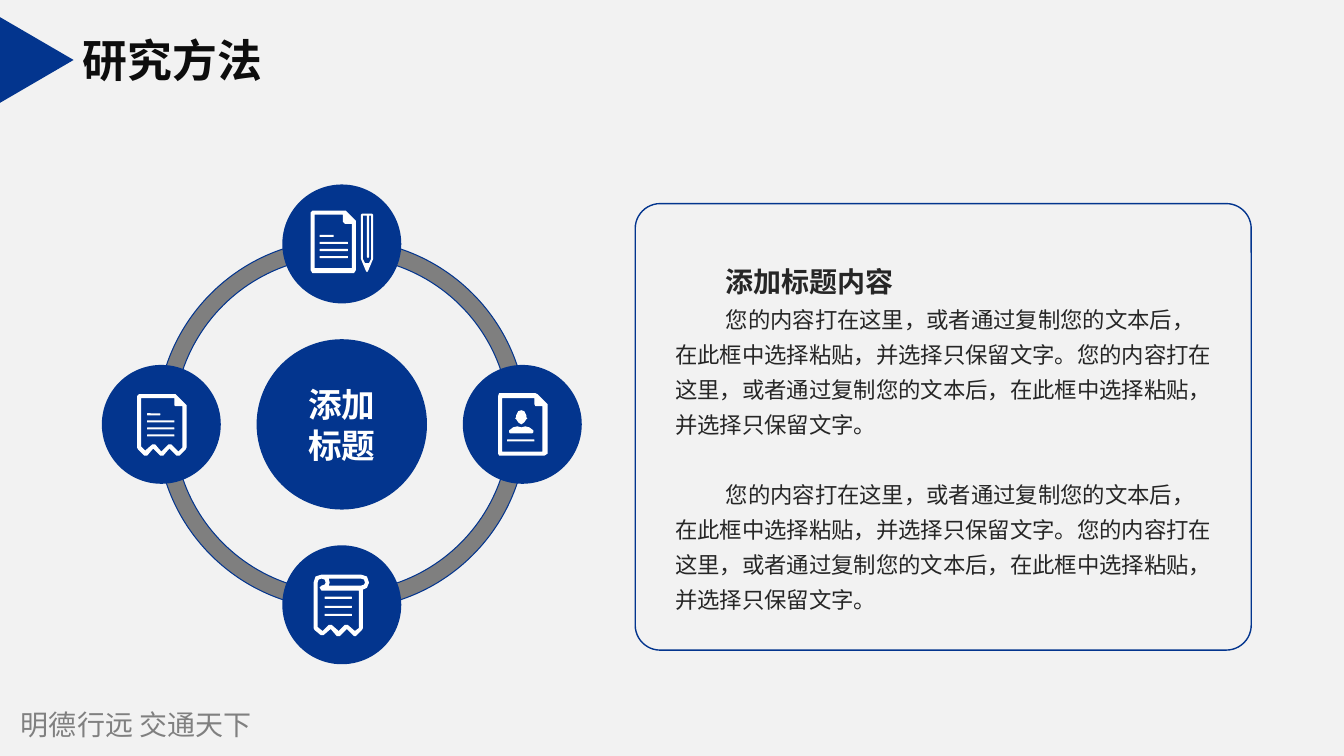
from lxml import etree
from pptx import Presentation
from pptx.dml.color import RGBColor
from pptx.enum.shapes import MSO_SHAPE
from pptx.enum.text import MSO_ANCHOR, PP_ALIGN
from pptx.oxml.ns import qn
from pptx.util import Inches, Pt

OVAL, ARC = MSO_SHAPE.OVAL, MSO_SHAPE.BLOCK_ARC
ROUNDED, TRIANGLE = MSO_SHAPE.ROUNDED_RECTANGLE, MSO_SHAPE.ISOSCELES_TRIANGLE
MIDDLE, TOP = MSO_ANCHOR.MIDDLE, MSO_ANCHOR.TOP
LEFT, CENTER = PP_ALIGN.LEFT, PP_ALIGN.CENTER
BLUE, GRAY, WHITE, BACKGROUND = "03358E", "7F7F7F", "FFFFFF", "F2F2F2"

TITLE = "研究方法"
FOOTER = "明德行远 交通天下"
HUB_LINES = ["添加", "标题"]
PANEL_HEADING = "添加标题内容"
PANEL_BODY = (
    "您的内容打在这里，或者通过复制您的文本后，在此框中选择粘贴，并选择只保留文字。"
    "您的内容打在这里，或者通过复制您的文本后，在此框中选择粘贴，并选择只保留文字。"
)

TITLE_FORMAT = {"name": "Arial", "size": Pt(32), "bold": True, "color": "0D0D0D"}
FOOTER_FORMAT = {"name": "Noto Sans CJK JP", "size": Pt(20), "color": "808080"}
HUB_FORMAT = {"name": "Arial", "size": Pt(24), "bold": True, "color": WHITE}
HEADING_FORMAT = {"name": "Noto Sans CJK SC", "size": Pt(20), "bold": True, "color": "262626"}
BODY_FORMAT = {**HEADING_FORMAT, "size": Pt(16), "bold": False}
HUB_SPACING = {"alignment": CENTER, "line_spacing": Pt(29)}
HEADING_SPACING = {"line_spacing": Pt(49.5)}
BODY_SPACING = {"line_spacing": Pt(25)}
SECOND_BODY_SPACING = {**BODY_SPACING, "space_before": Pt(25)}

# Ring geometry in inches
CENTER_X, CENTER_Y = 3.39, 4.21
ORBIT, RING_SIZE, HUB_SIZE, NODE_SIZE = 1.79, 3.67, 1.69, 1.18
QUARTER, FULL_TURN, RING_THICKNESS = 54, 216, 0.046

# Icon outlines, in hundredths of an inch from the icon's corner.
# Each outline is a list of contours; the later contours are holes.
# Each rule is (x, y, width).
SCROLL = {
    "outlines": [[
        [(55, 8), (53, 2), (47, 0), (8, 0), (2, 2), (0, 8), (0, 53), (1, 55), (7, 60),
         (10, 60), (17, 54), (23, 61), (26, 61), (33, 54), (40, 61), (42, 61), (48, 55),
         (49, 53), (49, 15), (53, 13)],
        [(41, 56), (34, 50), (31, 50), (25, 56), (18, 50), (15, 50), (9, 56), (4, 52),
         (4, 8), (5, 5), (8, 4), (11, 5), (12, 8), (11, 10), (8, 11), (6, 13), (8, 16),
         (45, 16), (45, 53)],
        [(47, 11), (15, 11), (16, 8), (15, 4), (47, 4), (50, 5), (51, 8), (50, 10)],
    ]],
    "rules": [(11, 39, 27), (11, 31, 27), (11, 22, 27)],
}
RECEIPT = {
    "outlines": [[
        [(48, 10), (39, 1), (38, 0), (2, 0), (0, 2), (0, 53), (1, 55), (7, 61), (10, 61),
         (16, 54), (23, 61), (26, 61), (32, 54), (39, 61), (42, 61), (48, 55), (49, 53),
         (49, 11)],
        [(41, 57), (34, 50), (31, 50), (24, 57), (18, 50), (15, 50), (8, 56), (4, 52),
         (4, 4), (37, 4), (37, 11), (38, 12), (45, 12), (45, 53)],
    ]],
    "rules": [(10, 40, 27), (10, 33, 27), (10, 26, 27), (10, 19, 13)],
}
PAGE_AND_PENCIL = {
    "outlines": [
        [[(36, 1), (35, 0), (2, 0), (0, 2), (0, 59), (2, 62), (43, 62), (45, 59), (45, 10),
          (44, 9)],
         [(4, 57), (4, 4), (32, 4), (32, 11), (34, 13), (41, 13), (41, 57)]],
        [[(61, 3), (51, 3), (50, 4), (50, 48), (55, 60), (56, 61), (57, 60), (62, 48),
          (62, 4)],
         [(60, 48), (58, 52), (54, 52), (52, 48), (52, 5), (56, 5), (56, 46), (57, 47),
          (58, 46), (58, 5), (60, 5)]],
    ],
    "rules": [(9, 45, 28), (9, 38, 28), (9, 31, 28), (9, 24, 14)],
}
PROFILE = {
    "outlines": [
        [[(48, 10), (39, 1), (37, 0), (1, 0), (0, 3), (0, 60), (1, 62), (46, 62), (49, 60),
          (49, 11)],
         [(4, 58), (4, 5), (36, 5), (36, 11), (37, 13), (44, 13), (44, 58)]],
        [[(17, 25), (18, 26), (20, 29), (23, 31), (26, 29), (28, 26), (29, 25), (28, 24),
          (28, 22), (26, 18), (23, 17), (20, 18), (18, 22), (18, 24)]],
        [[(12, 40), (34, 40), (35, 39), (35, 37), (31, 34), (27, 33), (23, 34), (19, 33),
          (15, 34), (11, 37), (11, 39)]],
    ],
    "rules": [(9, 46, 27)],
}
# Direction from the ring centre, icon corner measured from the node centre, icon
NODES = [
    ((0, 1), (-0.28, -0.3), SCROLL),
    ((-1, 0), (-0.24, -0.3), RECEIPT),
    ((0, -1), (-0.31, -0.33), PAGE_AND_PENCIL),
    ((1, 0), (-0.24, -0.31), PROFILE),
]


def rgb(value):
    return RGBColor.from_string(value)


def paint(shape, fill=None, line=None, width=0.75):
    shape.shadow.inherit = False
    if fill:
        shape.fill.solid()
        shape.fill.fore_color.rgb = rgb(fill)
    else:
        shape.fill.background()
    if line:
        shape.line.color.rgb = rgb(line)
        shape.line.width = Pt(width)
    else:
        shape.line.fill.background()


def add_preset(slide, kind, box, **colors):
    shape = slide.shapes.add_shape(kind, *map(Inches, box))
    paint(shape, **colors)
    return shape


def add_disc(slide, x, y, size):
    return add_preset(slide, OVAL, (x - size / 2, y - size / 2, size, size), fill=BLUE)


def write(shape, paragraphs, anchor=MIDDLE, wrap=True, indent=0):
    """Fill a shape with (text, font format, paragraph format) entries."""
    frame = shape.text_frame
    frame.word_wrap, frame.vertical_anchor = wrap, anchor
    for number, (text, font_format, spacing) in enumerate(paragraphs):
        paragraph = frame.add_paragraph() if number else frame.paragraphs[0]
        for key, value in {"alignment": LEFT, **spacing}.items():
            setattr(paragraph, key, value)
        if indent:
            paragraph._p.get_or_add_pPr().set("indent", str(Inches(indent)))
        run = paragraph.add_run()
        run.text = text
        for key, value in font_format.items():
            if key == "color":
                run.font.color.rgb = rgb(value)
            else:
                setattr(run.font, key, value)
        east_asian = etree.SubElement(run._r.get_or_add_rPr(), qn("a:ea"))
        east_asian.set("typeface", font_format["name"])


def add_icon(slide, x, y, icon):
    for first, *holes in icon["outlines"]:
        builder = slide.shapes.build_freeform(*first[0], scale=Inches(0.01))
        builder.add_line_segments(first[1:], close=True)
        for hole in holes:
            builder.move_to(*hole[0])
            builder.add_line_segments(hole[1:], close=True)
        paint(builder.convert_to_shape(Inches(x), Inches(y)), fill=WHITE)
    for left, top, width in icon["rules"]:
        box = (x + left / 100, y + top / 100, width / 100, 0.02)
        add_preset(slide, ROUNDED, box, fill=WHITE)


def add_cycle(slide):
    hub = add_disc(slide, CENTER_X, CENTER_Y, HUB_SIZE)
    write(hub, [(line, HUB_FORMAT, HUB_SPACING) for line in HUB_LINES])
    corner = (CENTER_X - RING_SIZE / 2, CENTER_Y - RING_SIZE / 2)
    for start in range(0, FULL_TURN, QUARTER):
        arc = add_preset(slide, ARC, (*corner, RING_SIZE, RING_SIZE), fill=GRAY, line=BLUE)
        angles = (start, (start + QUARTER) % FULL_TURN, RING_THICKNESS)
        for position, value in enumerate(angles):
            arc.adjustments[position] = value
    for (step_x, step_y), (icon_x, icon_y), icon in NODES:
        x, y = CENTER_X + step_x * ORBIT, CENTER_Y + step_y * ORBIT
        add_disc(slide, x, y, NODE_SIZE)
        add_icon(slide, x + icon_x, y + icon_y, icon)


def main():
    presentation = Presentation()
    presentation.slide_width, presentation.slide_height = Inches(13.33), Inches(7.5)
    slide = presentation.slides.add_slide(presentation.slide_layouts[5])
    slide.background.fill.solid()
    slide.background.fill.fore_color.rgb = rgb(BACKGROUND)

    title = slide.shapes.title
    title.left, title.top, title.width, title.height = map(Inches, (0.69, 0.26, 2.06, 0.67))
    title.text_frame.margin_left = title.text_frame.margin_right = Inches(0.13)
    write(title, [(TITLE, TITLE_FORMAT, {})], wrap=False)
    marker = add_preset(slide, TRIANGLE, (-0.06, 0.23, 0.85, 0.73), fill=BLUE)
    marker.rotation = 90

    add_cycle(slide)

    panel = add_preset(slide, ROUNDED, (6.3, 2.02, 6.11, 4.43), line=BLUE, width=1)
    panel.adjustments[0] = 0.056
    panel_text = slide.shapes.add_textbox(*map(Inches, (6.6, 2.22, 5.53, 3.89)))
    write(panel_text, [
        (PANEL_HEADING, HEADING_FORMAT, HEADING_SPACING),
        (PANEL_BODY, BODY_FORMAT, BODY_SPACING),
        (PANEL_BODY, BODY_FORMAT, SECOND_BODY_SPACING),
    ], anchor=TOP, indent=0.5)

    footer = slide.shapes.add_textbox(*map(Inches, (0.11, 6.97, 3.94, 0.44)))
    write(footer, [(FOOTER, FOOTER_FORMAT, {})])
    presentation.save("out.pptx")


if __name__ == "__main__":
    main()
